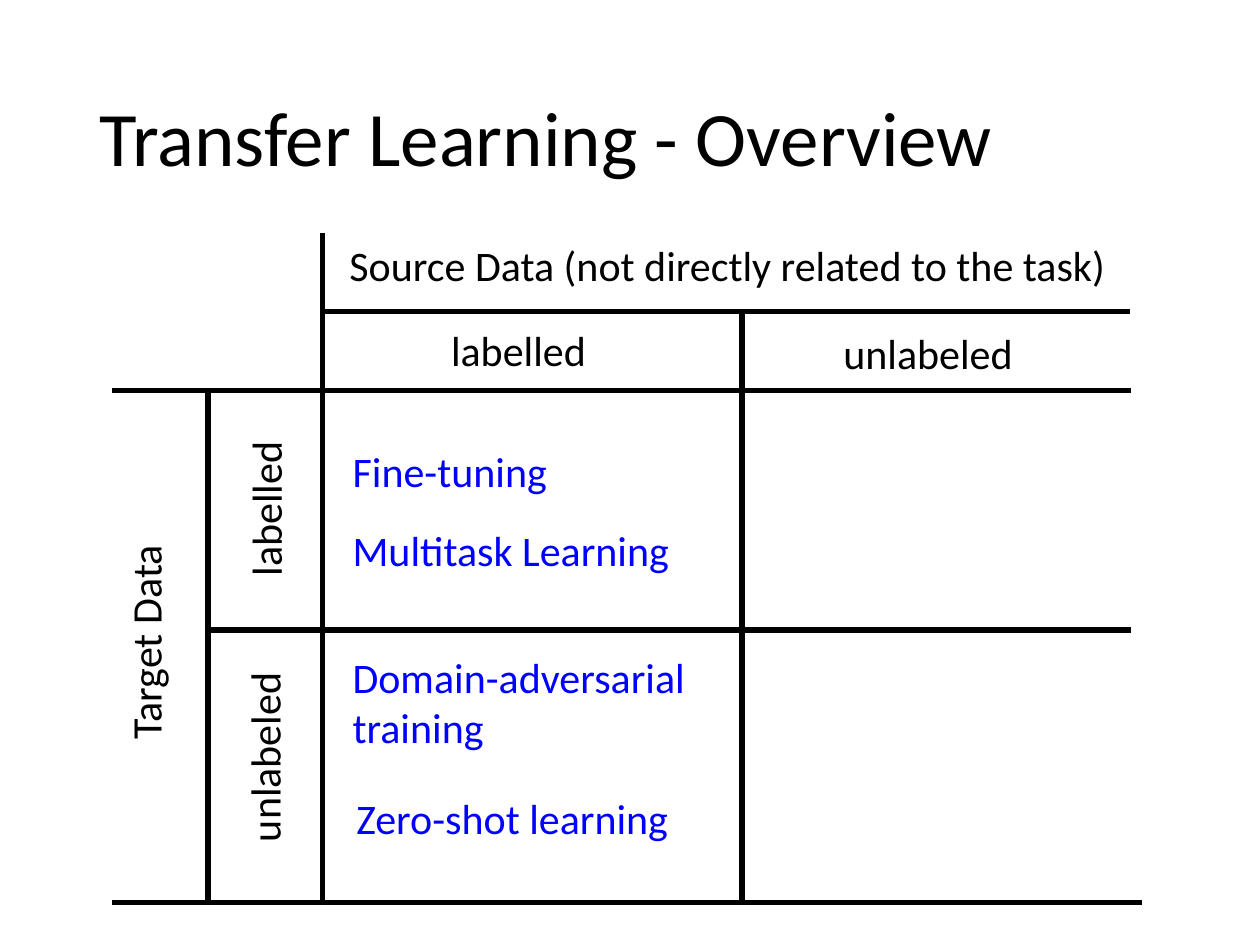
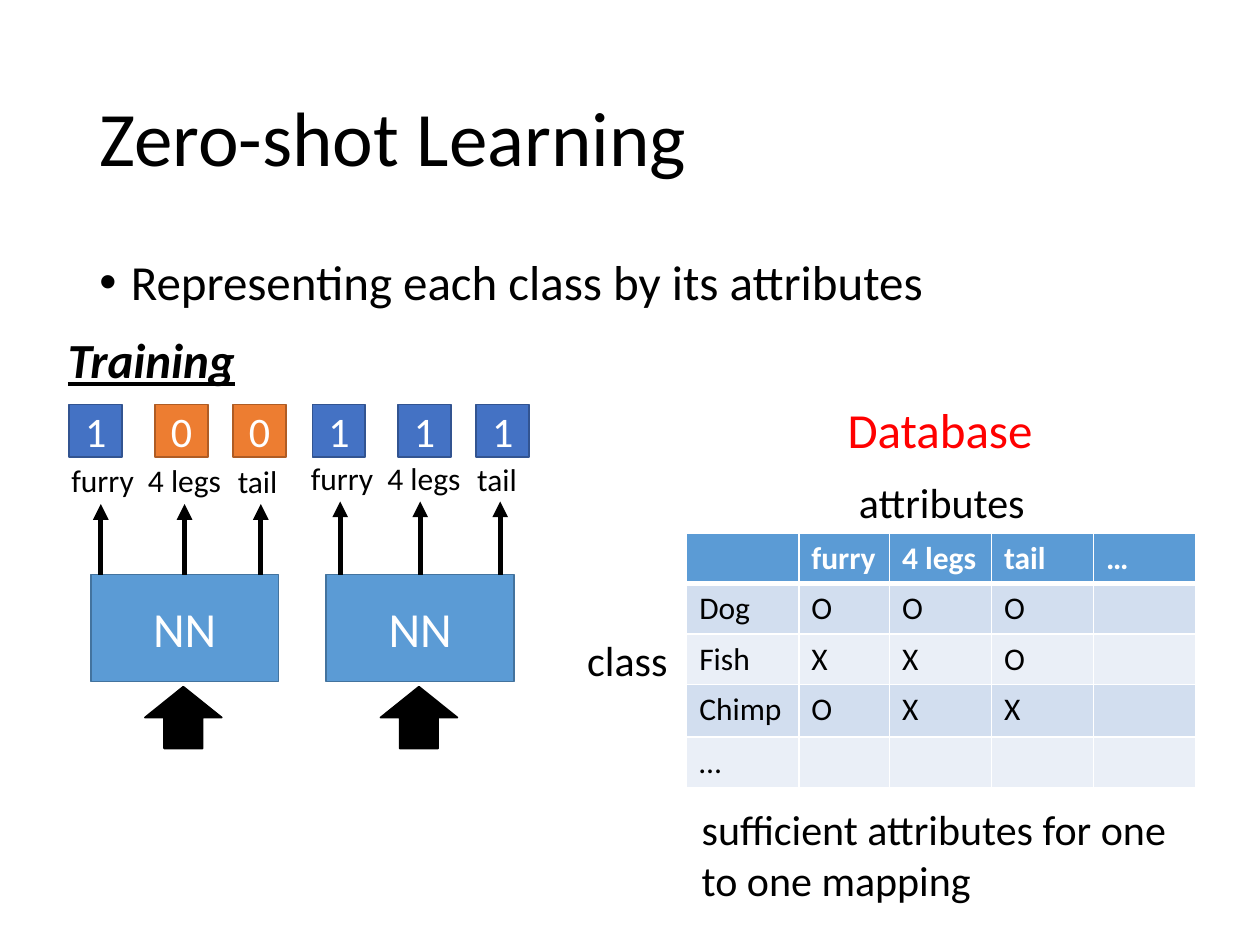
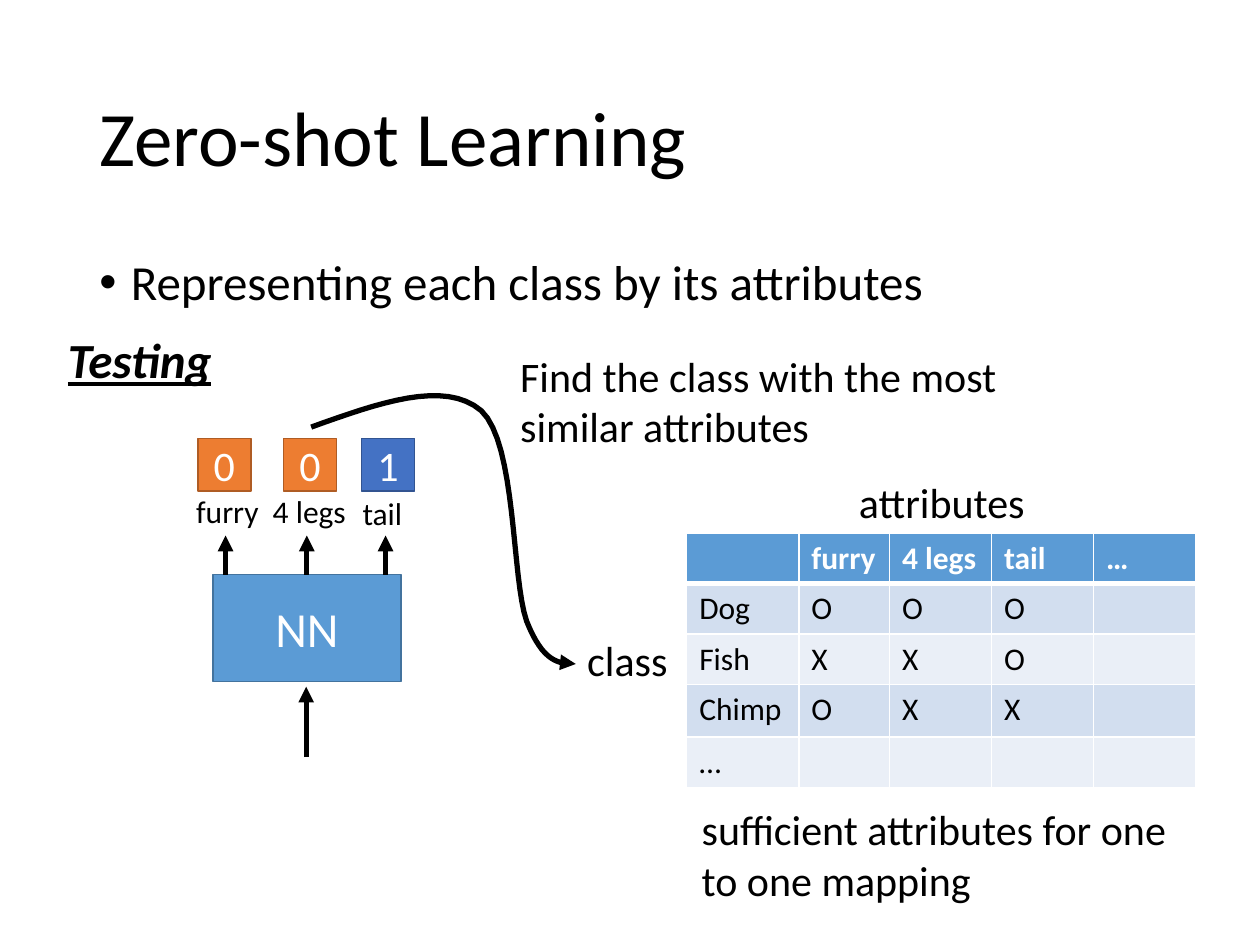
from lxml.etree import SubElement
from pptx import Presentation
from pptx.dml.color import RGBColor
from pptx.enum.shapes import MSO_CONNECTOR, MSO_SHAPE
from pptx.enum.text import MSO_ANCHOR, MSO_AUTO_SIZE, PP_ALIGN
from pptx.oxml.ns import qn
from pptx.util import Inches, Pt

FONT = "Calibri"
HUES = {
    "black": "000000", "white": "FFFFFF", "link": "0000FF", "red": "FF0000",
    "net": "5B9BD5", "net edge": "43739E",
    "1": "4472C4", "1 edge": "325491",
    "0": "ED7D31", "0 edge": "AF5C24",
    "odd": "D2DEEF", "even": "EAEFF7",
}
RGB = {name: RGBColor.from_string(code) for name, code in HUES.items()}
LEFT, MID = PP_ALIGN.LEFT, PP_ALIGN.CENTER


def label(slide, text, at, size=24, color="black", align=MID, fill=None, turn=0):
    """Add a text box, or a rectangle if a fill is named; return its shape."""
    spot = [Inches(n) for n in at]
    if fill:
        shape = slide.shapes.add_shape(MSO_SHAPE.RECTANGLE, *spot)
        shape.shadow.inherit = False
        shape.fill.solid()
        shape.fill.fore_color.rgb = RGB[fill]
        shape.line.color.rgb = RGB[fill + " edge"]
        shape.line.width = Pt(1)
    else:
        shape = slide.shapes.add_textbox(*spot)
        shape.text_frame.word_wrap = True
        shape.text_frame.auto_size = MSO_AUTO_SIZE.SHAPE_TO_FIT_TEXT
    shape.rotation = turn
    shape.text_frame.text = text
    para = shape.text_frame.paragraphs[0]
    para.alignment = align
    para.font.name, para.font.size = FONT, Pt(size)
    para.font.color.rgb = RGB[color]
    return shape


def link(slide, x1, y1, x2, y2, head=True):
    """Add a straight black line, with an arrowhead at its end if asked."""
    line = slide.shapes.add_connector(
        MSO_CONNECTOR.STRAIGHT, Inches(x1), Inches(y1), Inches(x2), Inches(y2))
    line.line.color.rgb = RGB["black"]
    line.line.width = Pt(3)
    if head:
        SubElement(line.line._get_or_add_ln(), qn("a:tailEnd"), type="triangle")
    SubElement(line._element.spPr, qn("a:effectLst"))
    return line


deck = Presentation()
deck.slide_width, deck.slide_height = Inches(10), Inches(7.5)

# Titles
for text in ("Transfer Learning - Overview", "Zero-shot Learning", "Zero-shot Learning"):
    slide = deck.slides.add_slide(deck.slide_layouts[5])
    title = slide.shapes.title
    title.left, title.top = Inches(0.69), Inches(0.4)
    title.width, title.height = Inches(8.62), Inches(1.45)
    title.text_frame.text = text
    title.text_frame.vertical_anchor = MSO_ANCHOR.MIDDLE
    para = title.text_frame.paragraphs[0]
    para.alignment, para.line_spacing = LEFT, 0.9
    para.font.name, para.font.size = FONT, Pt(44)
    para.font.color.rgb = RGB["black"]
view, train, test = deck.slides

# Overview: ruled grid
for ends in (
    (2.56, 7.16, 2.56, 1.85), (5.89, 2.47, 5.89, 7.16), (1.65, 3.08, 1.65, 7.16),
    (2.56, 2.47, 8.97, 2.47), (0.89, 3.1, 8.98, 3.1),
    (1.65, 5, 8.98, 5), (0.89, 7.16, 9.06, 7.16),
):
    link(view, *ends, head=False)

# Overview: heads across, heads turned upright, methods
for text, x, y, wide in (
    ("Source Data (not directly related to the task) ", 2.56, 1.85, 6.5),
    ("labelled", 3.27, 2.53, 1.69),
    ("unlabeled", 6.52, 2.55, 1.69),
):
    label(view, text, (x, y, wide, 0.5))
for text, x, y, wide in (
    ("Target Data ", -0.65, 4.81, 3.6),
    ("labelled", 1.26, 3.79, 1.69),
    ("unlabeled", 1.25, 5.76, 1.69),
):
    label(view, text, (x, y, wide, 0.5), turn=270)
for text, x, y, wide, high in (
    ("Fine-tuning", 2.7, 3.49, 2.82, 0.5),
    ("Multitask Learning", 2.7, 4.11, 2.82, 0.5),
    ("Domain-adversarial training", 2.7, 5.12, 3.04, 0.91),
    ("Zero-shot learning", 2.73, 6.24, 3.04, 0.5),
):
    label(view, text, (x, y, wide, high), color="link", align=LEFT)

# Zero-shot slides: bullet, phase, table and its captions
ROWS = (
    ("", "furry", "4 legs", "tail", "…"),
    ("Dog", "O", "O", "O", ""),
    ("Fish", "X", "X", "O", ""),
    ("Chimp", "O", "X", "X", ""),
    ("…", "", "", "", ""),
)
for slide, phase in ((train, "Training"), (test, "Testing")):
    body = label(slide, "Representing each class by its attributes",
                 (0.69, 2, 8.62, 4.76), 28, align=LEFT)
    body.text_frame.auto_size = MSO_AUTO_SIZE.NONE
    para = body.text_frame.paragraphs[0]
    para.line_spacing, para.space_before = 0.9, Pt(10)
    props = para._p.get_or_add_pPr()
    props.set("marL", str(Inches(0.25)))
    props.set("indent", str(-Inches(0.25)))
    mark = SubElement(props, qn("a:buFont"), typeface="Arial")
    mark.addnext(SubElement(props, qn("a:buChar"), char="•"))
    # Bullet marks come before the default run style
    style = props.find(qn("a:defRPr"))
    if style is not None:
        props.append(style)

    font = label(slide, phase, (0.44, 2.57, 1.59, 0.57), 28,
                 align=LEFT).text_frame.paragraphs[0].font
    font.bold = font.italic = font.underline = True

    table = slide.shapes.add_table(
        5, 5, Inches(5.45), Inches(4.23), Inches(4.04), Inches(2.02)).table
    for col, wide in zip(table.columns, (0.89, 0.72, 0.81, 0.81, 0.81)):
        col.width = Inches(wide)
    for row, high in zip(table.rows, (0.4, 0.4, 0.4, 0.42, 0.4)):
        row.height = Inches(high)
    for r, words in enumerate(ROWS):
        for c, word in enumerate(words):
            cell = table.cell(r, c)
            cell.text = word
            font = cell.text_frame.paragraphs[0].font
            font.name, font.size, font.bold = FONT, Pt(18), r == 0
            font.color.rgb = RGB["black" if r else "white"]
            for side in ("lnL", "lnR", "lnT", "lnB"):
                thick = (r, side) in ((0, "lnB"), (1, "lnT"))
                edge = SubElement(cell._tc.get_or_add_tcPr(), qn("a:" + side),
                                  w=str(Pt(3 if thick else 1)))
                paint = SubElement(edge, qn("a:solidFill"))
                SubElement(paint, qn("a:srgbClr"), val=HUES["white"])
            cell.fill.solid()
            cell.fill.fore_color.rgb = RGB["net" if r == 0 else "odd" if r % 2 else "even"]

    label(slide, "sufficient attributes for one to one mapping",
          (5.47, 6.33, 4.02, 0.91), align=LEFT)
    label(slide, "class", (4.48, 4.99, 1, 0.5))
    label(slide, "attributes", (6.68, 3.73, 1.59, 0.5))

# Networks: left of net, left of bits, top of bits, first arrow, arrow tip, bits
for slide, left, start, top, first, tip, bits in (
    (train, 0.72, 0.55, 3.21, 0.8, 4, "100"),
    (train, 2.59, 2.48, 3.21, 2.7, 3.98, "111"),
    (test, 1.69, 1.57, 3.48, 1.79, 4.25, "001"),
):
    net = label(slide, "NN", (left, 4.56, 1.49, 0.85), 28, "white", fill="net")
    for step in (0, 1.27):
        link(slide, first + step, 4.56, first + step, tip)
    hub = left + 1.49 / 2
    link(slide, hub, 4.56, hub, tip).begin_connect(net, 0)
    for word, dx, dy in (("furry", -0.4, -0.39), ("4 legs", 0.25, -0.39),
                         ("tail", 0.83, -0.38)):
        label(slide, word, (first + dx, tip + dy, 0.83, 0.4), 18)
    for bit, dx in zip(bits, (0, 0.68, 1.3)):
        label(slide, bit, (start + dx, top, 0.42, 0.42), color="white", fill=bit)

# Training: block arrows into the nets, table heading
for x in (1.15, 3.02):
    feed = train.shapes.add_shape(
        MSO_SHAPE.UP_ARROW, Inches(x), Inches(5.45), Inches(0.61), Inches(0.49))
    feed.shadow.inherit = False
    feed.fill.solid()
    feed.fill.fore_color.rgb = feed.line.color.rgb = RGB["black"]
    feed.line.width = Pt(1)
label(train, "Database", (6.17, 3.12, 2.58, 0.57), 28, "red")

# Testing: input arrow, note, curve from the bits to the class
link(test, 2.43, 6.01, 2.43, 5.45)
label(test, "Find the class with the most similar attributes",
      (4.03, 2.73, 3.99, 0.91), align=LEFT)
knots = ((2.47, 3.39), (3, 3.2), (3.53, 3.01), (3.82, 3.26), (4.1, 3.52),
         (4.06, 4.59), (4.18, 4.93), (4.31, 5.26), (4.44, 5.27), (4.57, 5.27))
STEPS = 16
dots = []
for i in range(0, 9, 3):
    for n in range(1, STEPS + 1):
        t = n / STEPS
        u = 1 - t
        mix = (u ** 3, 3 * u * u * t, 3 * u * t * t, t ** 3)
        dots.append([Inches(sum(m * k[axis] for m, k in zip(mix, knots[i:i + 4])))
                     for axis in (0, 1)])
pen = test.shapes.build_freeform(*[Inches(n) for n in knots[0]])
pen.add_line_segments(dots, close=False)
curve = pen.convert_to_shape()
curve.shadow.inherit = False
curve.fill.background()
curve.line.color.rgb = RGB["black"]
curve.line.width = Pt(3)
SubElement(curve.line._get_or_add_ln(), qn("a:tailEnd"), type="triangle")

deck.save("out.pptx")
